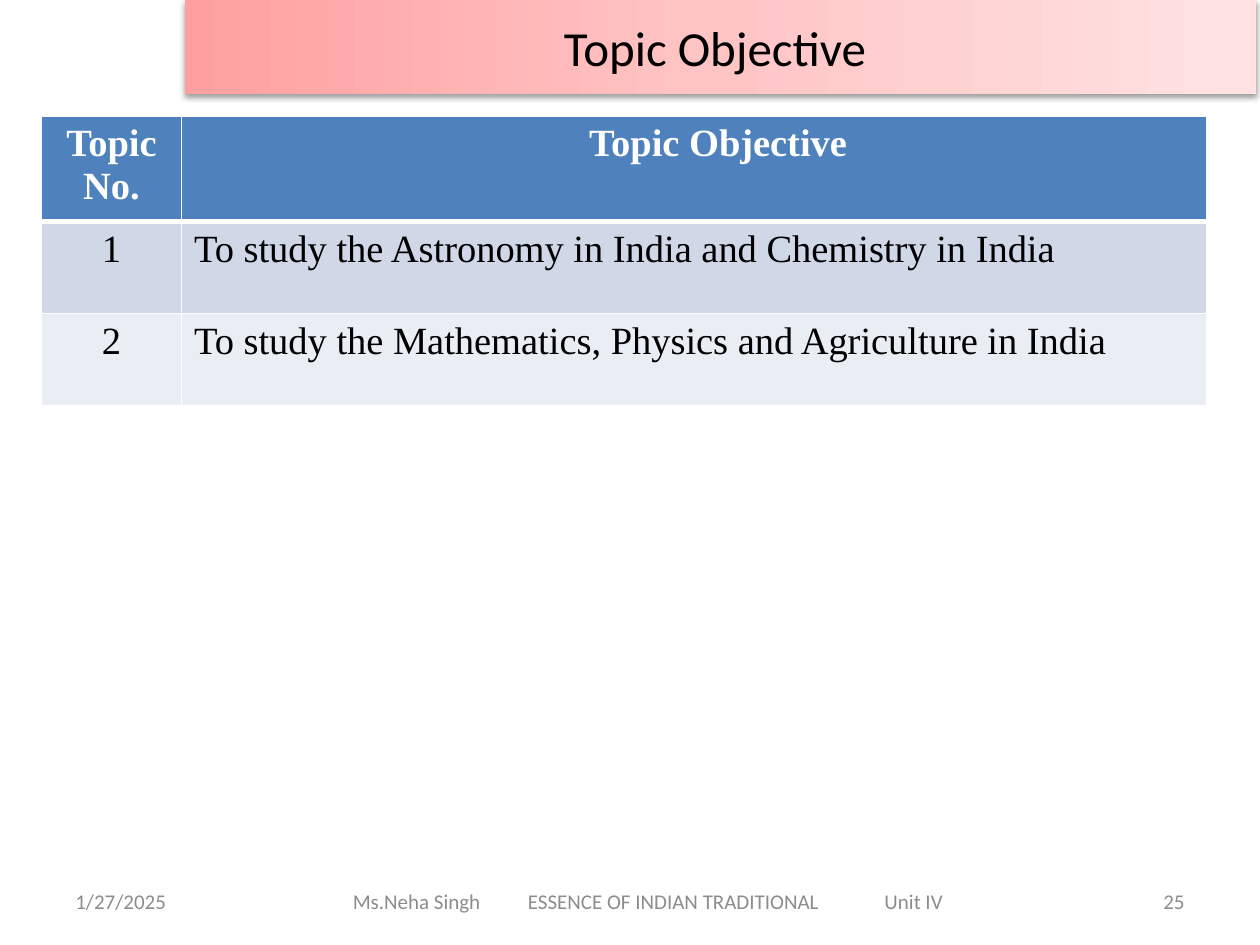
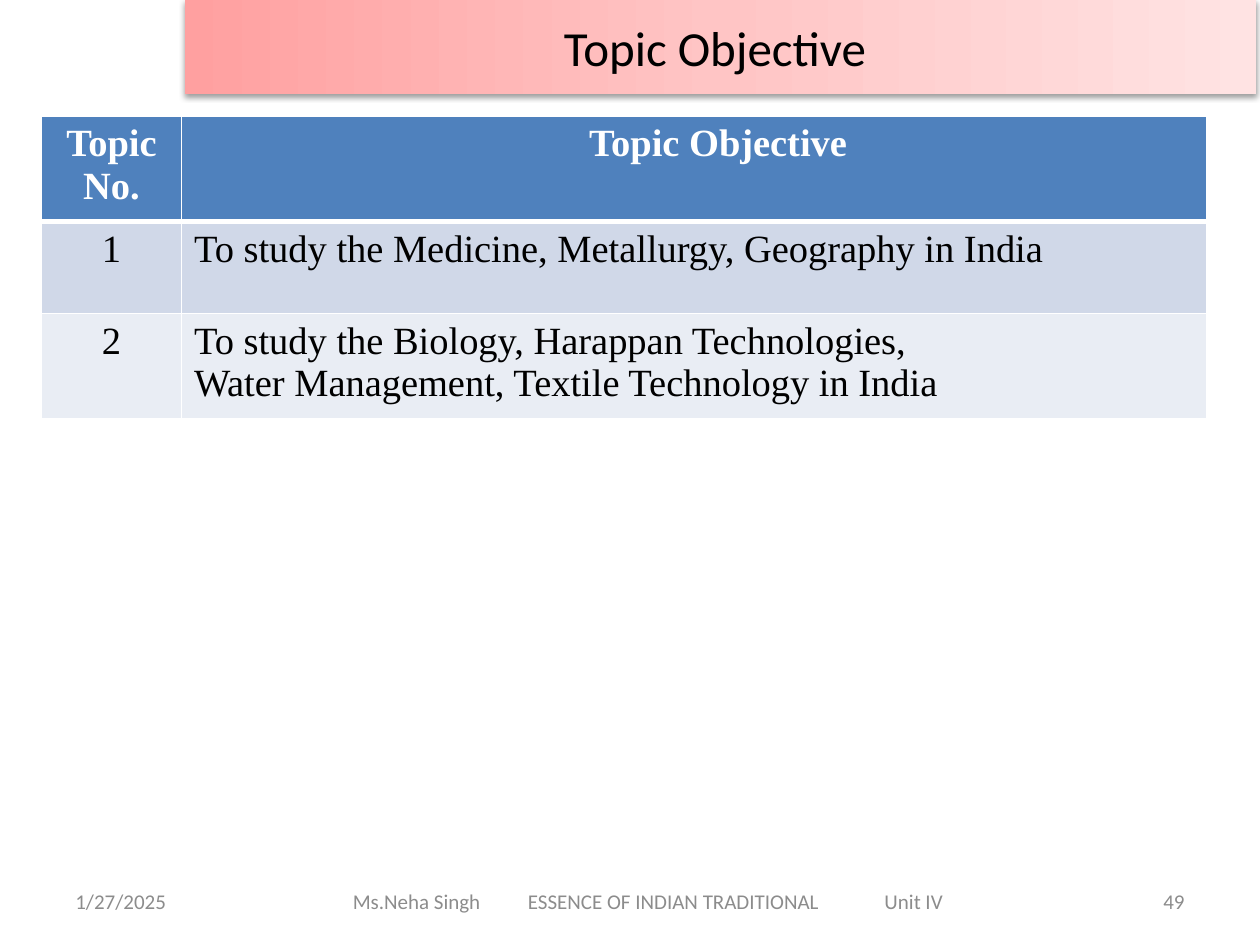
"""Build two topic objective slides with a shared title band, table and footer."""
from copy import deepcopy

from lxml import etree
from pptx import Presentation
from pptx.dml.color import RGBColor
from pptx.enum.shapes import MSO_SHAPE
from pptx.enum.text import MSO_ANCHOR, PP_ALIGN
from pptx.oxml.ns import qn
from pptx.util import Inches, Pt

RECTANGLE = MSO_SHAPE.RECTANGLE
MIDDLE = MSO_ANCHOR.MIDDLE
LEFT, CENTER, RIGHT, JUSTIFY = (
    PP_ALIGN.LEFT, PP_ALIGN.CENTER, PP_ALIGN.RIGHT, PP_ALIGN.JUSTIFY)

BLACK = RGBColor(0x00, 0x00, 0x00)
WHITE = RGBColor(0xFF, 0xFF, 0xFF)
GRAY = RGBColor(0x8C, 0x8C, 0x8C)
HEADER_BLUE = RGBColor(0x4F, 0x81, 0xBD)
ROW_FILLS = [RGBColor(0xD0, 0xD8, 0xE8), RGBColor(0xE9, 0xED, 0xF4)]
BAND_STOPS = [
    (0, RGBColor(0xFF, 0xA0, 0xA0)),
    (0.5, RGBColor(0xFF, 0xC5, 0xC5)),
    (1, RGBColor(0xFF, 0xE3, 0xE3)),
]

TITLE_FONT = {"name": "Calibri", "size": Pt(28), "bold": False}
FOOTER_FONT = {"name": "Calibri", "size": Pt(12), "bold": False}
HEADER_FONT = {"name": "Times New Roman", "size": Pt(22), "bold": True}
BODY_FONT = {**HEADER_FONT, "bold": False}

COLUMN_WIDTHS = [1.11, 8.14]
ROW_HEIGHTS = [0.84, 0.73, 0.73]
FOOTER_TABS = [1.39, 4.22]

SLIDES = [
    (25, ["To study the Astronomy in India and Chemistry in India",
          "To study the Mathematics, Physics and Agriculture in India"]),
    (49, ["To study the Medicine, Metallurgy, Geography in India",
          "To study the Biology, Harappan Technologies,\n"
          "Water Management, Textile Technology in India"]),
]


class Deck:
    """Hold the presentation, its style and the current slide."""

    def __init__(self):
        self.prs = Presentation()
        self.prs.slide_width, self.prs.slide_height = Inches(10), Inches(7.5)
        self.slide = None

    def new_slide(self):
        self.slide = self.prs.slides.add_slide(self.prs.slide_layouts[6])

    def add_text(self, tf, text, font, color, align):
        for i, line in enumerate(text.split("\n")):
            p = tf.add_paragraph() if i else tf.paragraphs[0]
            p.alignment = align
            r = p.add_run()
            r.text = line
            for name, value in font.items():
                setattr(r.font, name, value)
            r.font.color.rgb = color

    def title(self, text):
        sp = self.slide.shapes.add_shape(
            RECTANGLE, Inches(1.47), 0, Inches(8.5), Inches(0.75))
        sp.fill.gradient()
        sp.fill.gradient_angle = 0
        stops = sp._element.spPr.find(".//" + qn("a:gsLst"))
        stops.append(deepcopy(stops[0]))
        for stop, (position, color) in zip(sp.fill.gradient_stops, BAND_STOPS):
            stop.position = position
            stop.color.rgb = color
        sp.line.fill.background()
        self.shadow(sp)
        tf = sp.text_frame
        tf.vertical_anchor = MIDDLE
        tf.margin_right = Inches(0.19)
        self.add_text(tf, text, TITLE_FONT, BLACK, CENTER)

    def shadow(self, sp):
        sp.shadow.inherit = False
        effects = sp._element.spPr.find(qn("a:effectLst"))
        outer = etree.SubElement(
            effects, qn("a:outerShdw"), blurRad=str(Pt(3.1)),
            dist=str(Pt(1.6)), dir="5400000", rotWithShape="0")
        color = etree.SubElement(outer, qn("a:srgbClr"), val=str(BLACK))
        etree.SubElement(color, qn("a:alpha"), val="38000")

    def footer_text(self, left, width, text, align, inset=0.1, tabs=()):
        sp = self.slide.shapes.add_textbox(
            Inches(left), Inches(6.95), Inches(width), Inches(0.4))
        tf = sp.text_frame
        tf.word_wrap = True
        tf.vertical_anchor = MIDDLE
        tf.margin_left = Inches(inset)
        if tabs:
            pPr = tf.paragraphs[0]._p.get_or_add_pPr()
            tab_list = etree.SubElement(pPr, qn("a:tabLst"))
            for tab in tabs:
                etree.SubElement(
                    tab_list, qn("a:tab"), pos=str(Inches(tab)), algn="l")
        self.add_text(tf, text, FOOTER_FONT, GRAY, align)

    def footer(self, number):
        self.footer_text(0.5, 2.33, "1/27/2025", LEFT)
        self.footer_text(
            1.75, 6.83, "Ms.Neha Singh\tESSENCE OF INDIAN TRADITIONAL\tUnit IV",
            LEFT, inset=1.05, tabs=FOOTER_TABS)
        self.footer_text(7.17, 2.33, str(number), RIGHT)

    def borders(self, cell, top, bottom):
        tcPr = cell._tc.get_or_add_tcPr()
        for side, width in (("L", 1), ("R", 1), ("T", top), ("B", bottom)):
            ln = etree.SubElement(tcPr, qn("a:ln" + side), w=str(Pt(width)))
            fill = etree.SubElement(ln, qn("a:solidFill"))
            etree.SubElement(fill, qn("a:srgbClr"), val=str(WHITE))

    def table(self, rows):
        table = self.slide.shapes.add_table(
            len(rows), len(COLUMN_WIDTHS), Inches(0.33), Inches(0.92),
            Inches(sum(COLUMN_WIDTHS)), Inches(sum(ROW_HEIGHTS))).table
        for column, width in zip(table.columns, COLUMN_WIDTHS):
            column.width = Inches(width)
        for i, (row, height) in enumerate(zip(table.rows, ROW_HEIGHTS)):
            row.height = Inches(height)
            header = i == 0
            fill = HEADER_BLUE if header else ROW_FILLS[(i - 1) % 2]
            font, color = (HEADER_FONT, WHITE) if header else (BODY_FONT, BLACK)
            for j, cell in enumerate(row.cells):
                self.borders(cell, 3 if i == 1 else 1, 3 if header else 1)
                cell.fill.solid()
                cell.fill.fore_color.rgb = fill
                align = CENTER if header or j == 0 else JUSTIFY
                self.add_text(cell.text_frame, rows[i][j], font, color, align)
        table.cell(0, 1).margin_left = Inches(0.48)


def main():
    deck = Deck()
    for number, objectives in SLIDES:
        deck.new_slide()
        deck.footer(number)
        deck.title("Topic Objective")
        rows = [(str(n), text) for n, text in enumerate(objectives, 1)]
        deck.table([("Topic No.", "Topic Objective"), *rows])
    deck.prs.save("out.pptx")


if __name__ == "__main__":
    main()
